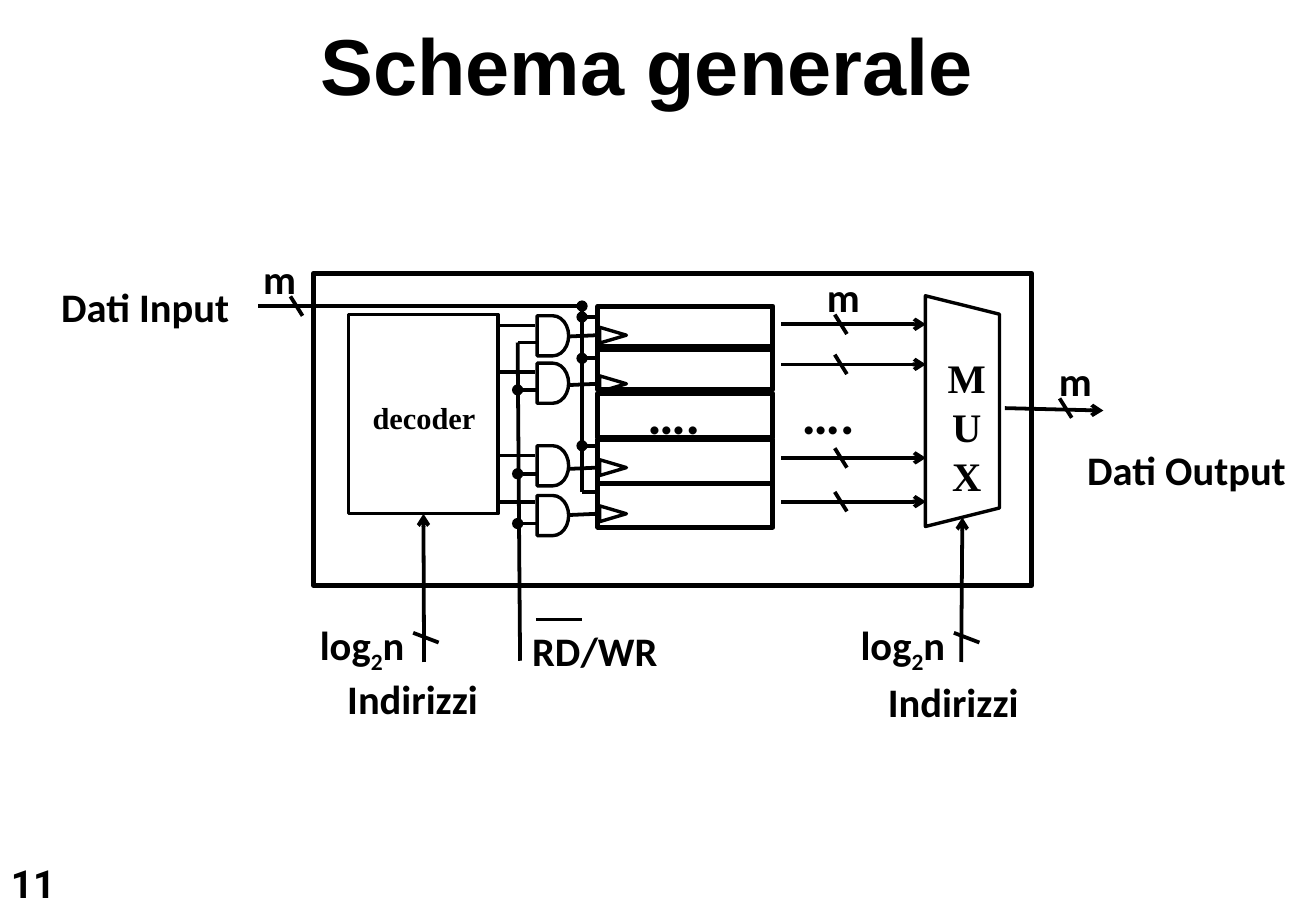
import dataclasses

import lxml.etree
import pptx
import pptx.dml.color
import pptx.enum.shapes
import pptx.enum.text
import pptx.oxml.ns
import pptx.util

KIND = pptx.enum.shapes.MSO_SHAPE
ALIGN = pptx.enum.text.PP_ALIGN
SCALE = 9144


@dataclasses.dataclass(frozen=True)
class Theme:
    ink: pptx.dml.color.RGBColor = pptx.dml.color.RGBColor(0, 0, 0)
    head: str = "Arial"
    body: str = "Calibri"
    serif: str = "Times New Roman"
    page: str = "Roboto"
    title: int = 47
    dots: int = 32
    label: int = 24
    number: int = 23
    small: int = 18
    thin: float = 2
    wire: float = 2.25
    thick: float = 3


@dataclasses.dataclass(frozen=True)
class Row:
    reg: int
    gate: int
    word: int
    strobe: int
    clock: int
    tap: int
    dot: bool


def px(count):
    return pptx.util.Emu(round(count * SCALE))


class Sketch:
    """Draws shapes, wires and text on one slide in a shared style."""

    def __init__(self, slide, theme):
        self.slide = slide
        self.theme = theme

    def shape(self, kind, left, top, width, height, weight=None, turn=0):
        item = self.slide.shapes.add_shape(kind, px(left), px(top), px(width), px(height))
        item.shadow.inherit = False
        item.fill.background()
        item.line.color.rgb = self.theme.ink
        item.line.width = pptx.util.Pt(weight or self.theme.thin)
        item.rotation = turn
        return item

    def wire(self, x1, y1, x2, y2, head=None, tail=None, weight=None):
        line = self.slide.shapes.add_connector(
            pptx.enum.shapes.MSO_CONNECTOR.STRAIGHT, px(x1), px(y1), px(x2), px(y2))
        line.line.color.rgb = self.theme.ink
        line.line.width = pptx.util.Pt(weight or self.theme.wire)
        props = line._element.spPr
        stroke = props.find(pptx.oxml.ns.qn("a:ln"))
        for tag, mark in (("a:headEnd", head), ("a:tailEnd", tail)):
            if mark:
                lxml.etree.SubElement(stroke, pptx.oxml.ns.qn(tag), type=mark)
        lxml.etree.SubElement(props, pptx.oxml.ns.qn("a:effectLst"))
        return line

    def slash(self, x, y):
        self.wire(x - 5, y - 8, x + 5, y + 8)

    def text(self, text, left, top, width, height, font=None, size=None,
             inset=(10, 5), space=1.16, align=ALIGN.CENTER, wrap=False):
        box = self.slide.shapes.add_textbox(px(left), px(top), px(width), px(height))
        frame = box.text_frame
        frame.word_wrap = wrap
        frame.margin_left = frame.margin_right = px(inset[0])
        frame.margin_top = frame.margin_bottom = px(inset[1])
        for place, line in enumerate(text.split("\n")):
            para = frame.add_paragraph() if place else frame.paragraphs[0]
            para.alignment = align
            para.line_spacing = space
            for count, part in enumerate(line.split("_")):
                run = para.add_run()
                run.text = part
                run.font.name = font or self.theme.body
                run.font.size = pptx.util.Pt(size or self.theme.label)
                run.font.bold = True
                run.font.color.rgb = self.theme.ink
                if count % 2:
                    run._r.get_or_add_rPr().set("baseline", "-25000")


def draw_row(art, row, first):
    out = row.reg + 15
    art.wire(643, out, 762, out, tail="arrow")
    art.slash(692, out)
    art.shape(KIND.FLOWCHART_DELAY, 442, row.gate, 26, 33)
    art.wire(410, row.word, 440, row.word)
    art.wire(442, row.strobe, 426, row.strobe, tail=None if first else "oval")
    art.shape(KIND.ISOSCELES_TRIANGLE, 498, row.clock - 11, 13, 22, turn=90)
    art.wire(469, row.clock + 1, 491, row.clock)
    art.wire(492, row.tap, 479, row.tap, tail="oval" if row.dot else None)


def main():
    deck = pptx.Presentation()
    deck.slide_width, deck.slide_height = px(1083), px(750)
    theme = Theme()
    art = Sketch(deck.slides.add_slide(deck.slide_layouts[6]), theme)

    art.text("Schema generale", 256, 11, 553, 83, font=theme.head,
             size=theme.title, inset=(5, 2), space=1)
    art.text("11", 4, 706, 54, 43, font=theme.page, size=theme.number,
             inset=(5, 2), space=1, align=ALIGN.LEFT)

    art.shape(KIND.RECTANGLE, 258, 225, 591, 257, theme.thick)
    for top in (252, 285, 324, 362, 398):
        art.shape(KIND.RECTANGLE, 492, top, 144, 36, theme.thick)
    rows = (
        Row(252, 260, 268, 282, 276, 261, True),
        Row(285, 299, 306, 321, 316, 295, True),
        Row(362, 367, 375, 390, 385, 367, True),
        Row(398, 408, 413, 431, 423, 405, False),
    )
    for row in rows:
        draw_row(art, row, row is rows[0])
    for left in (526, 653):
        art.text("….", left, 305, 57, 54, size=theme.dots, inset=(0, 0))

    block = art.shape(KIND.RECTANGLE, 287, 259, 123, 164)
    art.text("decoder", 296, 324, 106, 40, font=theme.serif, size=theme.small, space=1)
    art.shape(KIND.TRAPEZOID, 697, 308, 190, 61, turn=90)
    art.text("M\nU\nX", 762, 286, 67, 121, font=theme.serif, space=1)

    art.wire(479, 252, 212, 252)
    art.wire(479, 252, 479, 405, head="oval")
    art.wire(426, 282, 428, 544)
    art.wire(827, 336, 908, 338, tail="arrow")
    art.slash(244, 252)
    art.slash(877, 336)
    art.wire(349, 545, 349, 423, tail="arrow").end_connect(block, 2)
    art.wire(791, 545, 792, 426, tail="arrow")
    for left in (340, 785):
        art.wire(left, 521, left + 21, 529)
        art.text("log_2_n", left - 88, 498, 92, 57)

    for left, top, width in ((199, 198, 62), (670, 213, 48), (854, 282, 62)):
        art.text("m", left, top, width, 50)
    art.text("Dati Output", 880, 355, 193, 57)
    for label, left, top in (("Dati Input", 12, 221), ("Indirizzi", 232, 544),
                             ("Indirizzi", 677, 546), ("RD/WR", 382, 504)):
        art.text(label, left, top, 215, 54, wrap=True)
    art.wire(441, 510, 479, 510, weight=theme.thin)

    deck.save("out.pptx")


if __name__ == "__main__":
    main()
